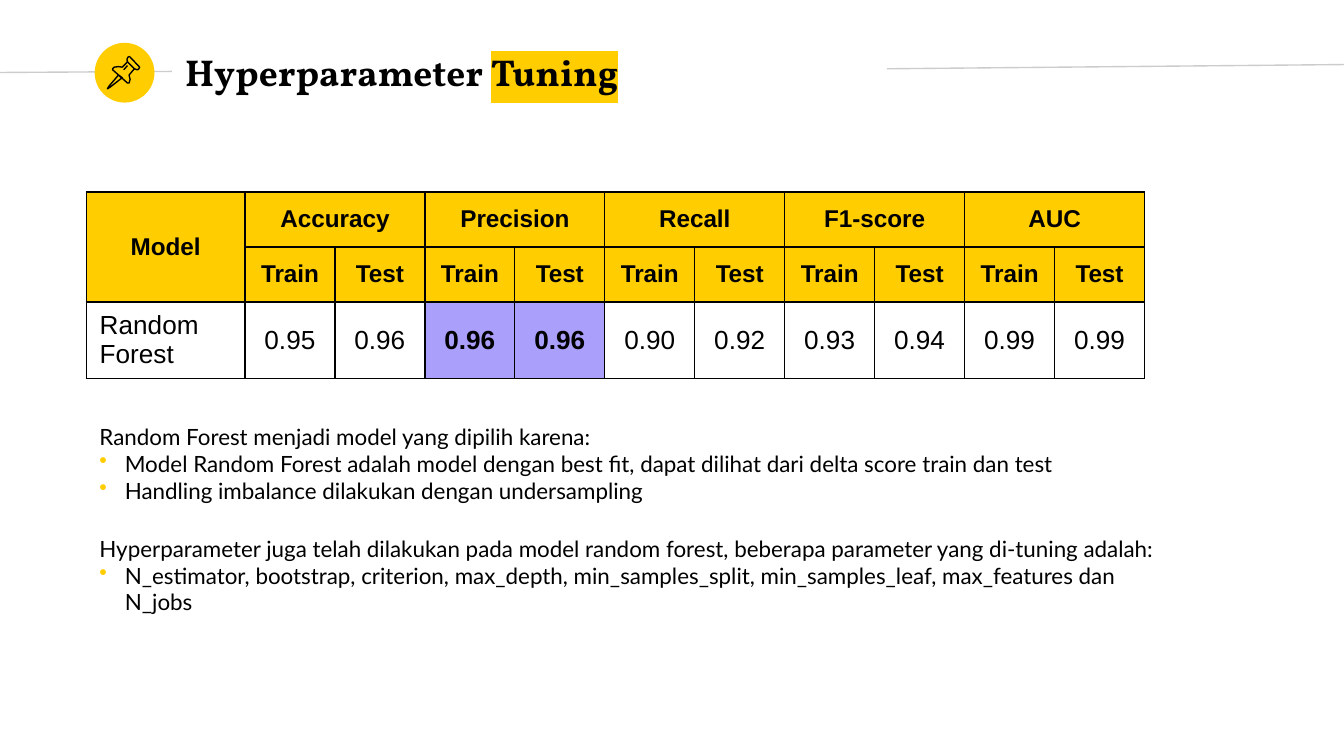
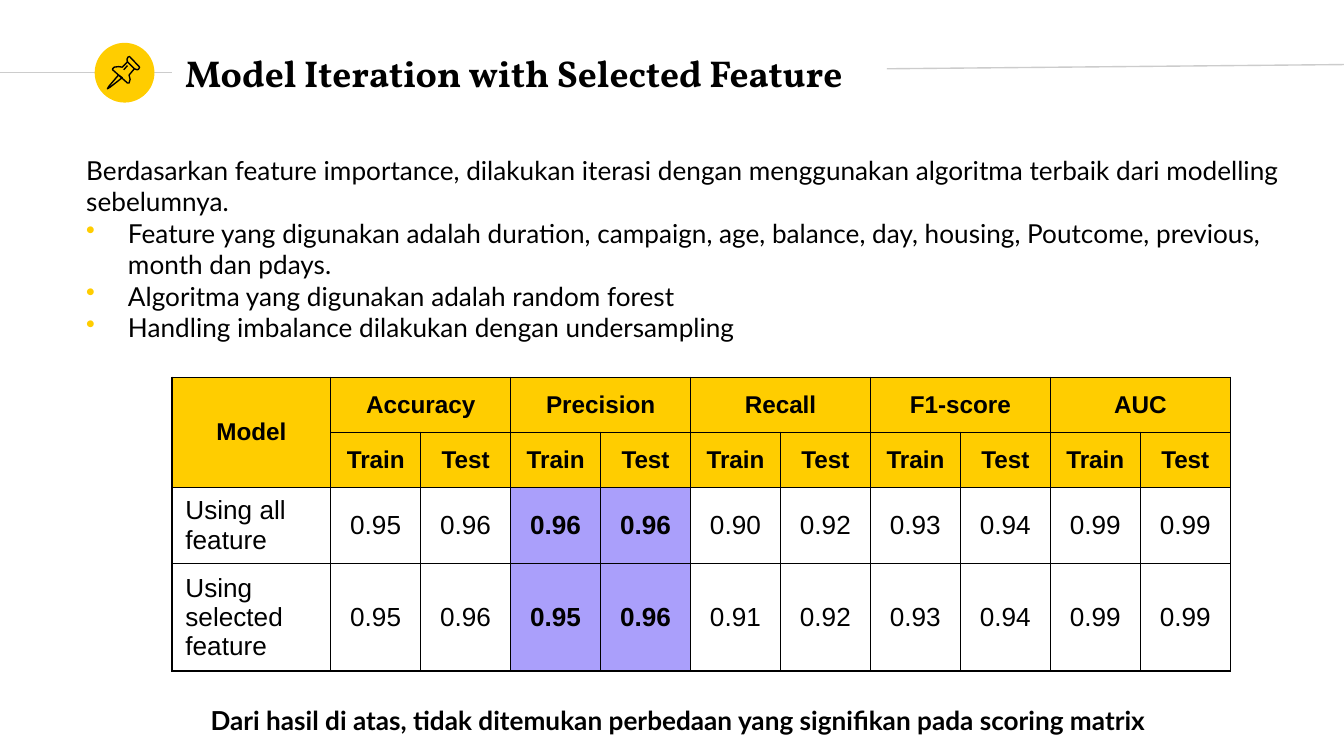
"""Build two slides on tuning and iterating a random forest model."""
import pptx
import pptx.dml.color
import pptx.enum.shapes
import pptx.enum.text
import pptx.oxml
import pptx.oxml.ns
import pptx.util

Cm = pptx.util.Cm
Pt = pptx.util.Pt
COLORS = {"accent": "FFCD00", "ink": "000000", "rule": "CCCCCC", "best": "AA9FFB"}
RGB = {name: pptx.dml.color.RGBColor.from_string(value) for name, value in COLORS.items()}
NS = pptx.oxml.ns.nsdecls("a")
MIDDLE = pptx.enum.text.MSO_ANCHOR.MIDDLE
CENTER = pptx.enum.text.PP_ALIGN.CENTER
LEFT = pptx.enum.text.PP_ALIGN.LEFT

TITLE_FONT = {"size": Pt(20), "name": "Vollkorn", "bold": True}
HEADER_FONT = {"size": Pt(13), "name": "Arial", "bold": True}
SCORE_FONT = {"size": Pt(14), "name": "Arial", "bold": False}
BEST_FONT = {**SCORE_FONT, "bold": True}
SMALL_FONT = {"size": Pt(12), "name": "Lato", "bold": False}
BODY_FONT = {**SMALL_FONT, "size": Pt(14)}
CLOSING_FONT = {**BODY_FONT, "bold": True}
BOX_FORMAT = {"word_wrap": True, **{f"margin_{side}": Cm(0.25) for side in ("left", "top", "right", "bottom")}}

METRICS = ["Accuracy", "Precision", "Recall", "F1-score", "AUC"]
BEST_COLUMNS = (3, 4)
ALL_FEATURE_SCORES = ["0.95", "0.96", "0.96", "0.96", "0.90", "0.92", "0.93", "0.94", "0.99", "0.99"]
SELECTED_SCORES = ["0.95", "0.96", "0.95", "0.96", "0.91", "0.92", "0.93", "0.94", "0.99", "0.99"]

# Pin outlines are in hundredths of a centimetre: points, closed
PIN_OUTLINES = [
    ([(224, 142), (206, 163), (203, 168), (208, 165), (231, 147)], True),
    ([(241, 117), (254, 130), (259, 132), (262, 131), (264, 127), (245, 107), (242, 108), (240, 112)], True),
    ([(241, 117), (231, 127), (224, 126), (216, 127), (213, 130), (213, 132),
      (241, 157), (244, 157), (246, 150), (244, 142), (254, 130)], False),
    ([(234, 132), (241, 124)], False),
]

SLIDES = [
    {
        "title": [("Hyperparameter ", False), ("Tuning", True)],
        "title_place": (3.25, 0.74, 12.83, 1.22),
        "left_rule_end": 1.35,
        "table_corner": (1.63, 3.63),
        "models": [("Random Forest", ALL_FEATURE_SCORES)],
        "texts": [
            ((1.63, 7.75, 20.9, 1.5), SMALL_FONT, 0.48, [
                "Random Forest menjadi model yang dipilih karena:",
                "Model Random Forest adalah model dengan best fit, dapat dilihat dari delta score train dan test",
                "Handling imbalance dilakukan dengan undersampling"]),
            ((1.63, 9.86, 20.9, 1.5), SMALL_FONT, 0.48, [
                "Hyperparameter juga telah dilakukan pada model random forest, "
                "beberapa parameter yang di-tuning adalah:",
                "N_estimator, bootstrap, criterion, max_depth, min_samples_split, "
                "min_samples_leaf, max_features dan N_jobs"]),
        ],
    },
    {
        "title": [("Model Iteration with Selected Feature", False)],
        "title_place": (3.25, 0.81, 13.51, 1.14),
        "left_rule_end": 1.37,
        "table_corner": (3.25, 7.13),
        "models": [("Using all feature", ALL_FEATURE_SCORES), ("Using selected feature", SELECTED_SCORES)],
        "texts": [
            ((1.38, 2.67, 23.16, 4.9), BODY_FONT, 0.79, [
                "Berdasarkan feature importance, dilakukan iterasi dengan menggunakan "
                "algoritma terbaik dari modelling sebelumnya.",
                "Feature yang digunakan adalah duration, campaign, age, balance, day, "
                "housing, Poutcome, previous, month dan pdays.",
                "Algoritma yang digunakan adalah random forest",
                "Handling imbalance dilakukan dengan undersampling"]),
            ((3.73, 13.06, 23.16, 1.04), CLOSING_FONT, 0, [
                "Dari hasil di atas, tidak ditemukan perbedaan yang signifikan pada scoring matrix"]),
        ],
    },
]


def write(paragraph, text, font_format):
    run = paragraph.add_run()
    run.text = text
    for name, value in font_format.items():
        setattr(run.font, name, value)
    run.font.color.rgb = RGB["ink"]
    return run


def add_text_frame(slide, place):
    frame = slide.shapes.add_textbox(*map(Cm, place)).text_frame
    for name, value in BOX_FORMAT.items():
        setattr(frame, name, value)
    return frame


deck = pptx.Presentation()
deck.slide_width, deck.slide_height = Cm(25.4), Cm(14.29)

for content in SLIDES:
    slide = deck.slides.add_slide(deck.slide_layouts[6])

    for ends in [(0, 1.37, 3.25, content["left_rule_end"]), (16.76, 1.3, 25.4, 1.22)]:
        rule = slide.shapes.add_connector(pptx.enum.shapes.MSO_CONNECTOR.STRAIGHT, *map(Cm, ends))
        rule.line.color.rgb = RGB["rule"]
        rule.line.width = Pt(0.75)
        rule._element.spPr.append(pptx.oxml.parse_xml(f"<a:effectLst {NS}/>"))

    badge = slide.shapes.add_shape(pptx.enum.shapes.MSO_SHAPE.OVAL, Cm(1.79), Cm(0.81), Cm(1.13), Cm(1.13))
    badge.shadow.inherit = False
    badge.fill.solid()
    badge.fill.fore_color.rgb = RGB["accent"]
    badge.line.fill.background()

    for points, closed in PIN_OUTLINES:
        outline = slide.shapes.build_freeform(*points[0], scale=Cm(0.01))
        outline.add_line_segments(points[1:], close=closed)
        pin = outline.convert_to_shape()
        pin.shadow.inherit = False
        pin.fill.background()
        pin.line.color.rgb = RGB["ink"]
        pin.line.width = Pt(0.75)

    heading = add_text_frame(slide, content["title_place"])
    heading.vertical_anchor = MIDDLE
    for words, marked in content["title"]:
        run = write(heading.paragraphs[0], words, TITLE_FONT)
        if marked:
            run._r.rPr.find(pptx.oxml.ns.qn("a:solidFill")).addnext(pptx.oxml.parse_xml(
                f'<a:highlight {NS}><a:srgbClr val="{COLORS["accent"]}"/></a:highlight>'))

    rows = [["Model"] + [label for metric in METRICS for label in (metric, "")],
            [""] + ["Train", "Test"] * len(METRICS)]
    rows += [[model] + scores for model, scores in content["models"]]
    scores_table = slide.shapes.add_table(
        len(rows), len(rows[0]), *map(Cm, content["table_corner"]), Cm(20), Cm(1.04 * len(rows))).table
    scores_table.first_row = scores_table.horz_banding = False
    for index, column in enumerate(scores_table.columns):
        column.width = Cm(1.7 if index else 3)
    for row_index, labels in enumerate(rows):
        scores_table.rows[row_index].height = Cm(1.04)
        for column_index, label in enumerate(labels):
            cell = scores_table.cell(row_index, column_index)
            cell.vertical_anchor = MIDDLE
            if row_index < 2:
                font_format, fill = HEADER_FONT, "accent"
            elif column_index in BEST_COLUMNS:
                font_format, fill = BEST_FONT, "best"
            else:
                font_format, fill = SCORE_FONT, None
            if fill:
                cell.fill.solid()
                cell.fill.fore_color.rgb = RGB[fill]
            else:
                cell.fill.background()
            for position, side in enumerate("LRTB"):
                cell._tc.get_or_add_tcPr().insert(position, pptx.oxml.parse_xml(
                    f'<a:ln{side} {NS} w="{Pt(0.75)}"><a:solidFill>'
                    f'<a:srgbClr val="{COLORS["ink"]}"/></a:solidFill></a:ln{side}>'))
            if label:
                paragraph = cell.text_frame.paragraphs[0]
                paragraph.alignment = CENTER if row_index < 2 or column_index else LEFT
                write(paragraph, label, font_format)
    scores_table.cell(0, 0).merge(scores_table.cell(1, 0))
    for first in range(1, len(rows[0]), 2):
        scores_table.cell(0, first).merge(scores_table.cell(0, first + 1))

    for place, font_format, indent, lines in content["texts"]:
        frame = add_text_frame(slide, place)
        for index, line in enumerate(lines):
            paragraph = frame.add_paragraph() if index else frame.paragraphs[0]
            write(paragraph, line, font_format)
            if index:
                properties = paragraph._p.get_or_add_pPr()
                properties.set("marL", str(Cm(indent)))
                properties.set("indent", str(-Cm(indent)))
                properties.append(pptx.oxml.parse_xml(
                    f'<a:buClr {NS}><a:srgbClr val="{COLORS["accent"]}"/></a:buClr>'))
                properties.append(pptx.oxml.parse_xml(f'<a:buChar {NS} char="•"/>'))

deck.save("out.pptx")
